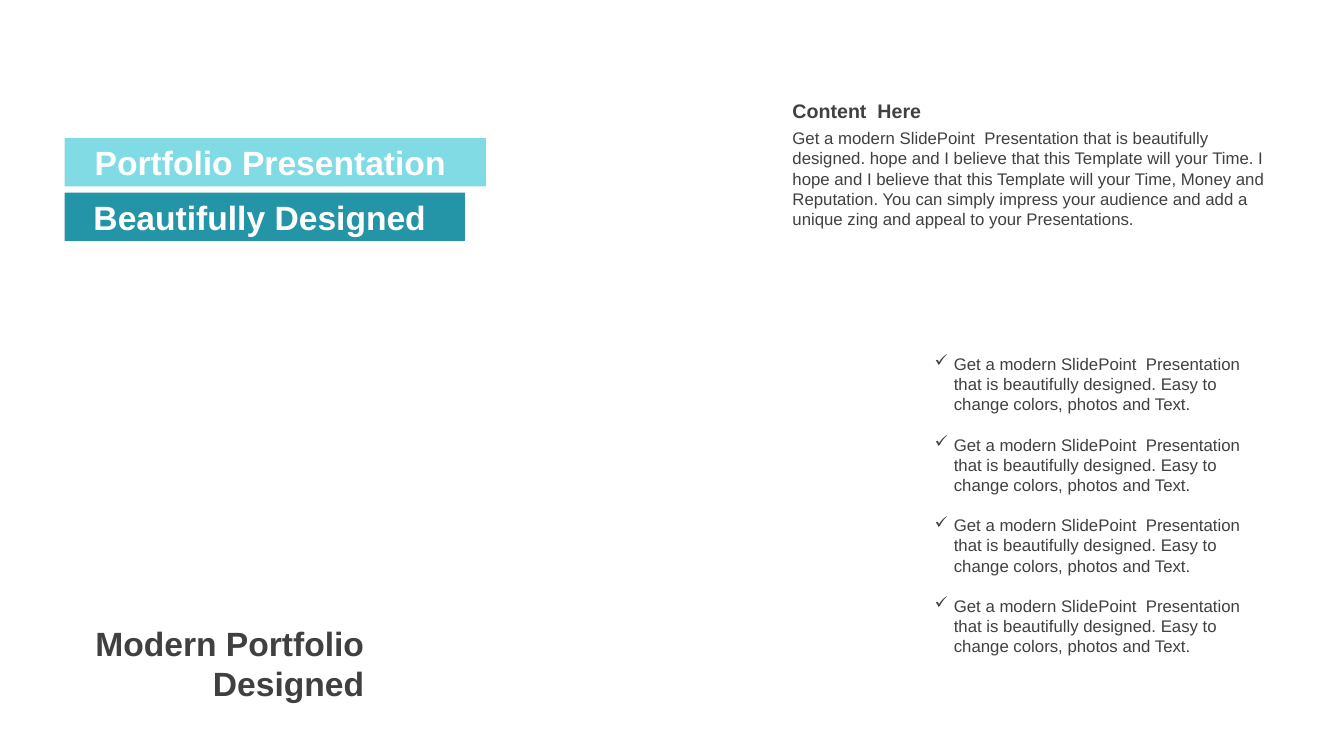
from dataclasses import dataclass

from lxml import etree
from pptx import Presentation
from pptx.dml.color import RGBColor
from pptx.enum.text import MSO_ANCHOR, MSO_AUTO_SIZE, PP_ALIGN
from pptx.oxml.ns import qn
from pptx.util import Inches, Pt

LEFT, CENTER, RIGHT = PP_ALIGN.LEFT, PP_ALIGN.CENTER, PP_ALIGN.RIGHT
TOP, MIDDLE = MSO_ANCHOR.TOP, MSO_ANCHOR.MIDDLE
NO_AUTOFIT = MSO_AUTO_SIZE.NONE


@dataclass(frozen=True)
class Theme:
    font: str = "Arial"
    light_teal: RGBColor = RGBColor(0x80, 0xDB, 0xE4)
    dark_teal: RGBColor = RGBColor(0x23, 0x95, 0xA6)
    white: RGBColor = RGBColor(0xFF, 0xFF, 0xFF)
    ink: RGBColor = RGBColor(0x40, 0x40, 0x40)
    headline: Pt = Pt(24)
    heading: Pt = Pt(14)
    body: Pt = Pt(12)


theme = Theme()


def place(shape, left, top, width, height):
    shape.left, shape.top = Inches(left), Inches(top)
    shape.width, shape.height = Inches(width), Inches(height)


def write(shape, texts, size, color, bold=False, align=LEFT, anchor=TOP, inset=0):
    frame = shape.text_frame
    frame.word_wrap = True
    frame.auto_size = NO_AUTOFIT
    frame.vertical_anchor = anchor
    frame.margin_left, frame.margin_right = Inches(inset), Inches(0.1)
    frame.margin_top = frame.margin_bottom = Inches(0.05)
    frame.text = "\n".join(texts)
    for paragraph in frame.paragraphs:
        paragraph.alignment = align
        paragraph.font.name = theme.font
        paragraph.font.size = size
        paragraph.font.bold = bold
        paragraph.font.color.rgb = color
    return frame.paragraphs


presentation = Presentation()
presentation.slide_width, presentation.slide_height = Inches(13.33), Inches(7.5)
slide = presentation.slides.add_slide(presentation.slide_layouts[5])
shapes = slide.shapes

# Two stacked banners, the first one being the slide title
banner_left, banner_top, banner_height, banner_pitch = 0.64, 1.37, 0.48, 0.54
subtitle = shapes.add_shape(1, 0, 0, 0, 0)
subtitle.shadow.inherit = False
banners = [
    (shapes.title, "Portfolio Presentation", 4.18, theme.light_teal),
    (subtitle, "Beautifully Designed", 3.97, theme.dark_teal),
]
for row, (banner, text, width, color) in enumerate(banners):
    place(banner, banner_left, banner_top + row * banner_pitch, width, banner_height)
    banner.fill.solid()
    banner.fill.fore_color.rgb = color
    banner.line.fill.background()
    write(banner, [text], theme.headline, theme.white, True, CENTER, MIDDLE)

# Closing headline at the lower left
closing = shapes.add_textbox(0, 0, 0, 0)
place(closing, 0.83, 6.13, 2.88, 0.91)
write(closing, ["Modern Portfolio Designed"], theme.headline, theme.ink, True, RIGHT, inset=0.1)

# Right column: heading and description
column_left, column_width = 7.86, 4.83
column_right = column_left + column_width
heading = shapes.add_textbox(0, 0, 0, 0)
place(heading, column_left, 0.93, column_width, 0.34)
write(heading, ["Content  Here"], theme.heading, theme.ink, True, anchor=MIDDLE)

description = shapes.add_textbox(0, 0, 0, 0)
place(description, column_left, 1.22, column_width, 1.11)
description_text = (
    "Get a modern SlidePoint  Presentation that is beautifully designed. "
    "hope and I believe that this Template will your Time. "
    "I hope and I believe that this Template will your Time, Money and Reputation. "
    "You can simply impress your audience and add a unique zing and appeal "
    "to your Presentations."
)
write(description, [description_text], theme.body, theme.ink)

# Check list, right-aligned with the column
list_width = 3.42
check_list = shapes.add_textbox(0, 0, 0, 0)
place(check_list, column_right - list_width, 3.46, list_width, 3.13)
point = (
    "Get a modern SlidePoint  Presentation that is beautifully designed. "
    "Easy to change colors, photos and Text."
)
paragraphs = write(check_list, [point] * 4, theme.body, theme.ink)
for number, paragraph in enumerate(paragraphs):
    if number:
        paragraph.space_before = Pt(14.4)
    properties = paragraph._p.get_or_add_pPr()
    properties.set("marL", str(Inches(0.19)))
    properties.set("indent", str(-Inches(0.19)))
    bullet = etree.Element(qn("a:buChar"), char="✓")
    properties.find(qn("a:defRPr")).addprevious(bullet)

presentation.save("out.pptx")
